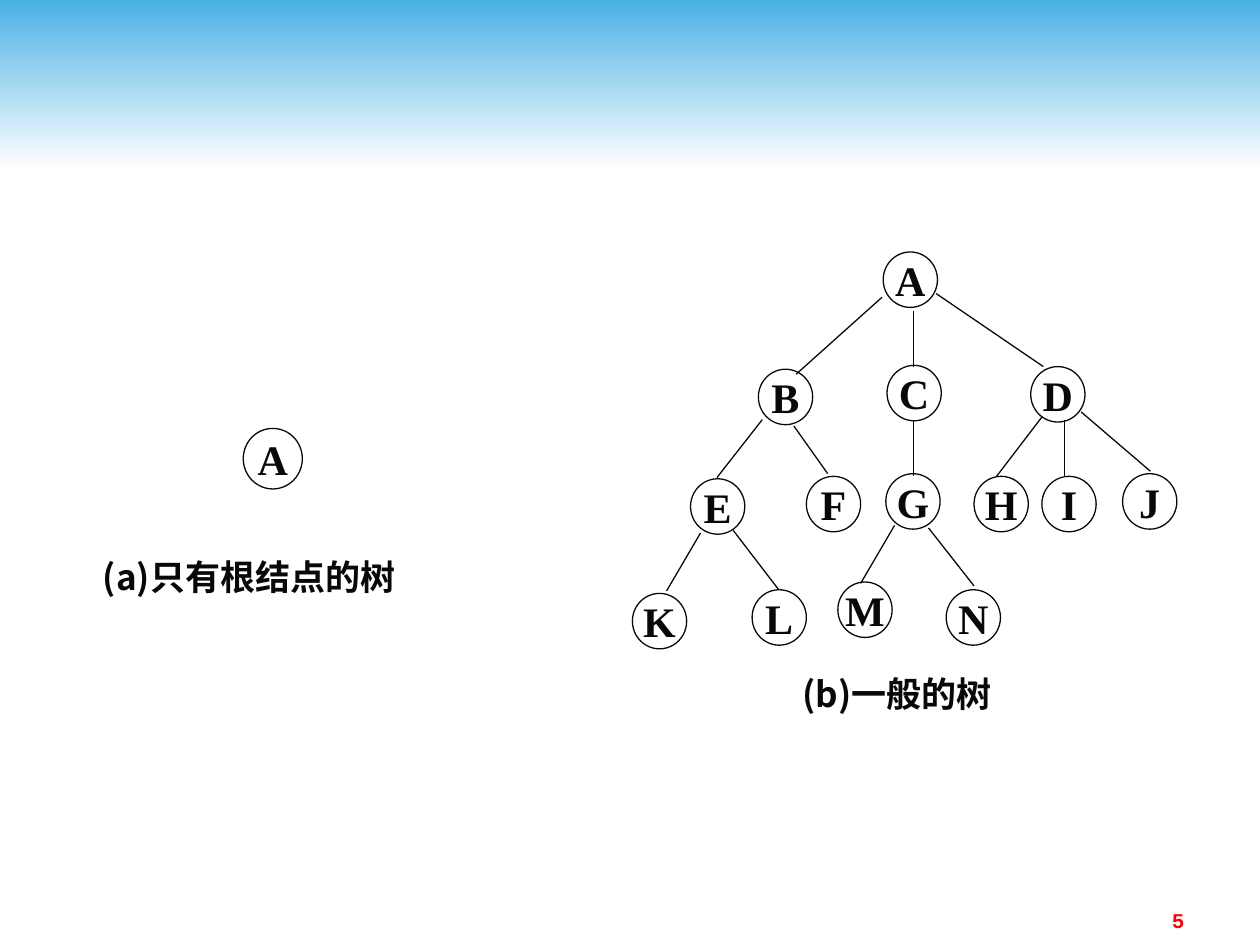
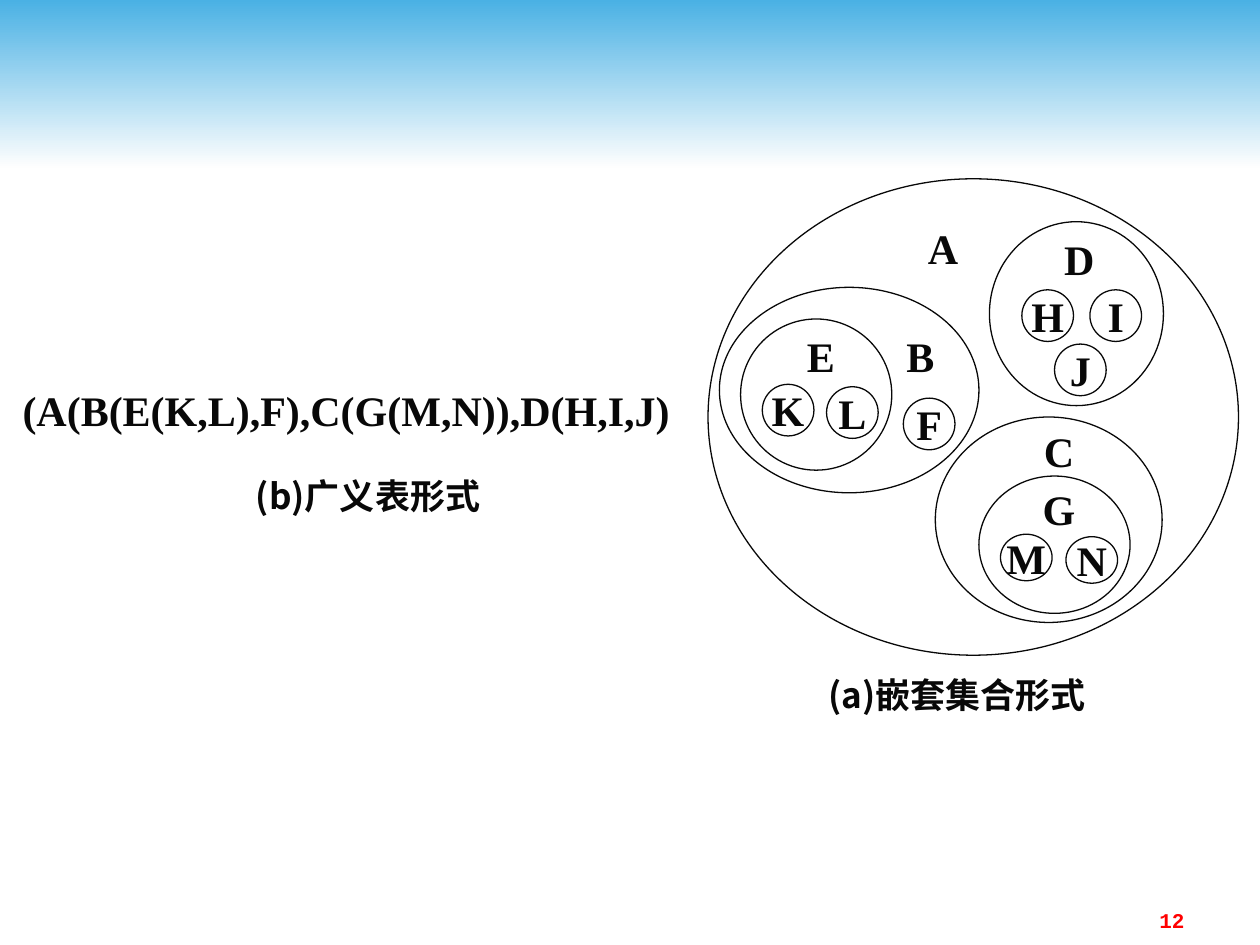
from collections import namedtuple

from lxml.etree import SubElement
from pptx import Presentation
from pptx.dml.color import RGBColor
from pptx.enum.shapes import MSO_CONNECTOR as Connector, MSO_SHAPE as Shape
from pptx.enum.text import MSO_ANCHOR as Anchor, PP_ALIGN as Align
from pptx.oxml.ns import qn
from pptx.util import Pt

Theme = namedtuple("Theme", "ink line_width band_top band_bottom letter caption number")
INK = RGBColor.from_string("080808")
theme = Theme(
    ink=INK,
    line_width=Pt(0.75),
    band_top=RGBColor.from_string("4AB1E4"),
    band_bottom=RGBColor.from_string("FEFEFE"),
    letter=dict(name="Times New Roman", size=Pt(24), bold=True, color=INK),
    caption=dict(name="Noto Sans CJK SC", size=Pt(20), bold=True, color=INK),
    number=dict(name="Courier New", size=Pt(12), bold=True, color=RGBColor(255, 0, 0)),
)


def write(shape, text, style, align=Align.CENTER, anchor=Anchor.MIDDLE, wrap=True):
    frame = shape.text_frame
    frame.word_wrap = wrap
    frame.vertical_anchor = anchor
    paragraph = frame.paragraphs[0]
    paragraph.alignment = align
    run = paragraph.add_run()
    run.text = text
    for attribute, value in style.items():
        if attribute == "color":
            run.font.color.rgb = value
        else:
            setattr(run.font, attribute, value)
    SubElement(run._r.get_or_add_rPr(), qn("a:ea"), typeface=style["name"])


def add_ellipse(slide, box, letter="", outlined=True):
    ellipse = slide.shapes.add_shape(Shape.OVAL, *map(Pt, box))
    ellipse.shadow.inherit = False
    ellipse.fill.background()
    if outlined:
        ellipse.line.color.rgb = theme.ink
        ellipse.line.width = theme.line_width
    else:
        ellipse.line.fill.background()
    if letter:
        write(ellipse, letter, theme.letter, wrap=False)


presentation = Presentation()
presentation.slide_width, presentation.slide_height = Pt(720), Pt(540)
blank = presentation.slide_layouts[6]
tree_slide = presentation.slides.add_slide(blank)
sets_slide = presentation.slides.add_slide(blank)

# Gradient band, moved behind everything on the master
band = tree_slide.shapes.add_shape(Shape.RECTANGLE, 0, 0, Pt(720), Pt(95.8))
band.shadow.inherit = False
band.line.fill.background()
band.fill.gradient()
band.fill.gradient_angle = 270
for stop, color in zip(band.fill.gradient_stops, (theme.band_top, theme.band_bottom)):
    stop.color.rgb = color
presentation.slide_master.shapes.element.insert(2, band.element)

# Captions and slide numbers
captions = [
    (tree_slide, "(a)只有根结点的树", (48.2, 312.5, 188.6, 33.8)),
    (tree_slide, "(b)一般的树", (418.3, 379.4, 188.6, 33.8)),
    (sets_slide, "(a)嵌套集合形式", (447.8, 380.9, 198, 31.7)),
    (sets_slide, "(b)广义表形式", (117.4, 267.1, 185.8, 31.7)),
]
for slide, text, box in captions:
    write(slide.shapes.add_textbox(*map(Pt, box)), text, theme.caption)

for slide, number in ((tree_slide, "5"), (sets_slide, "12")):
    number_box = slide.shapes.add_textbox(Pt(516.2), Pt(514.8), Pt(167.8), Pt(19.4))
    write(number_box, number, theme.number, Align.RIGHT, Anchor.TOP)

# Slide 1: a tree with only a root, and a general tree
add_ellipse(tree_slide, (139, 244.8, 33.8, 34.6), "A")

node_size = (31, 31.7)
nodes = {
    "A": (504.7, 144),
    "B": (433.4, 211), "C": (506.9, 208.8), "D": (589, 209.5),
    "E": (394.6, 273.6), "F": (460.8, 272.2), "G": (506.2, 270.7),
    "H": (556.6, 272.2), "I": (595.4, 272.2), "J": (641.5, 270.7),
    "K": (361.4, 339.1), "L": (429.8, 337),
    "M": (478.8, 332.6), "N": (540.7, 337),
}
for letter, corner in nodes.items():
    add_ellipse(tree_slide, corner + node_size, letter)

branches = {
    "AB": (504, 169.9, 455, 213.8),
    "AC": (522, 177.8, 522, 209.5),
    "AD": (535, 167.8, 596.2, 209.5),
    "BE": (435.6, 239.8, 409.7, 272.9),
    "BF": (453.6, 243.4, 473, 270.7),
    "CG": (522, 239.8, 522, 272.2),
    "DH": (595.4, 238.3, 569.5, 272.2),
    "DI": (608.4, 239.8, 608.4, 272.2),
    "DJ": (617.8, 235.4, 657.4, 269.3),
    "EK": (400.3, 304.6, 380.9, 337.7),
    "EL": (419, 303.1, 445, 337),
    "GM": (511.2, 300.2, 491.8, 333.4),
    "GN": (530.6, 301.7, 556.6, 334.8),
}
for ends in branches.values():
    branch = tree_slide.shapes.add_connector(Connector.STRAIGHT, *map(Pt, ends))
    branch.line.color.rgb = theme.ink
    branch.line.width = theme.line_width
    SubElement(branch.element.spPr, qn("a:effectLst"))

# Slide 2: the same tree as nested sets and as a generalized list
list_box = sets_slide.shapes.add_textbox(Pt(5.8), Pt(216), Pt(396), Pt(36))
write(list_box, "(A(B(E(K,L),F),C(G(M,N)),D(H,I,J)", theme.letter, Align.LEFT)

set_outlines = {
    "A": (404.6, 102.2, 303.1, 272.2),
    "B": (411.1, 164.2, 148.3, 117.4),
    "C": (534.5, 238.3, 129.6, 117.4),
    "D": (565.4, 126.7, 99.4, 105.1),
    "E": (423.2, 182.3, 86.4, 86.4),
    "G": (559.4, 272, 86.4, 78.5),
}
for box in set_outlines.values():
    add_ellipse(sets_slide, box)

round_size, flat_size = (29.5, 29.5), (29.5, 26.6)
set_letters = {
    "A": (524.2, 126.7, *round_size),
    "B": (511.2, 188.6, *round_size),
    "C": (590.4, 244.1, *flat_size),
    "D": (599.8, 133.2, 33.8, 29.5),
    "E": (454.3, 188.6, *round_size),
    "G": (590.4, 277.2, *flat_size),
}
for letter, box in set_letters.items():
    add_ellipse(sets_slide, box, letter, outlined=False)

leaves = {
    "F": (516.2, 227.5, *round_size),
    "H": (583.9, 165.6, *round_size),
    "I": (622.8, 165.6, *round_size),
    "J": (602.6, 196.6, *round_size),
    "K": (435.6, 219.6, *round_size),
    "L": (472.3, 221, *round_size),
    "M": (571.7, 305.3, *flat_size),
    "N": (609.1, 306.7, *flat_size),
}
for letter, box in leaves.items():
    add_ellipse(sets_slide, box, letter)

presentation.save("out.pptx")
